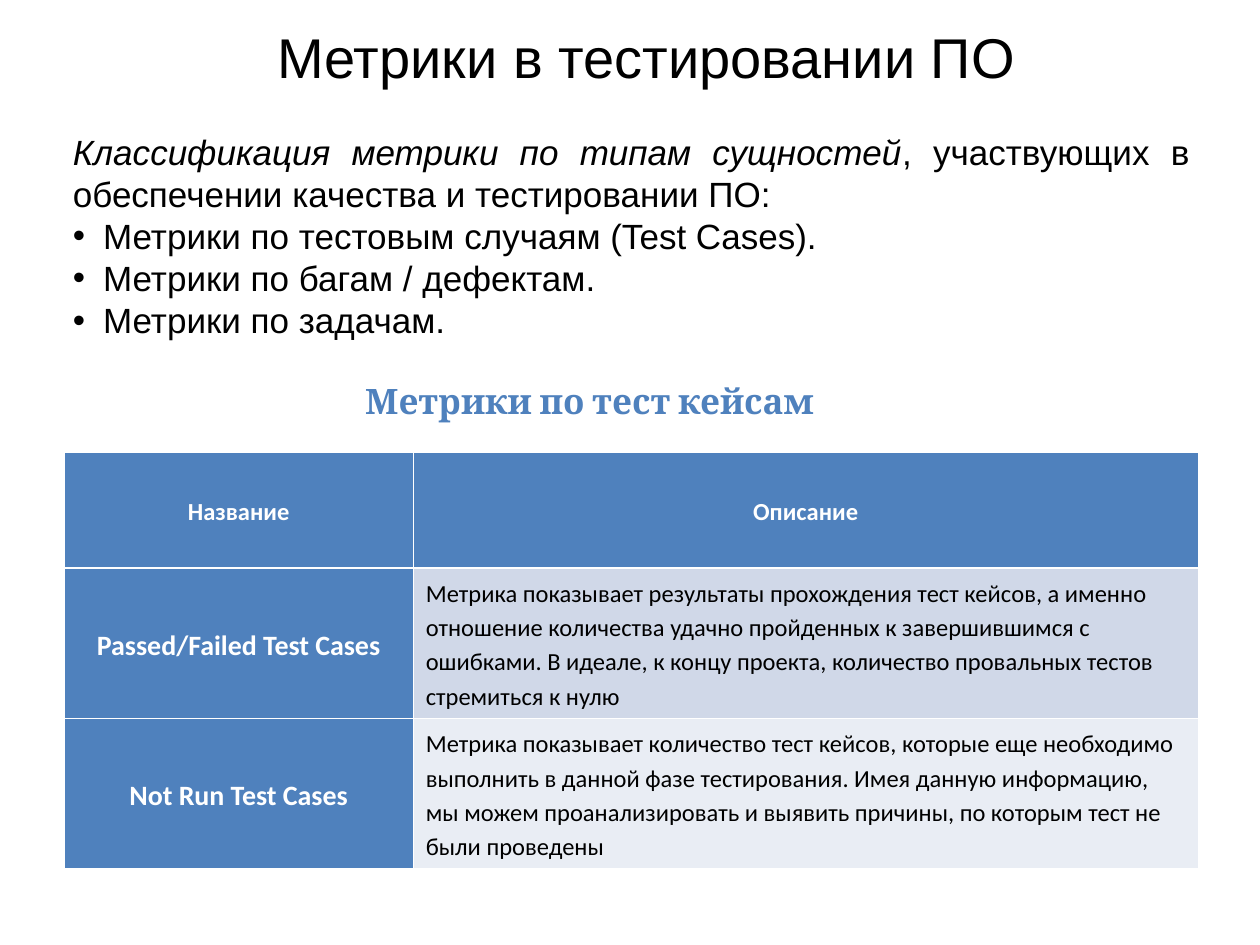
from lxml.etree import SubElement
from pptx import Presentation
from pptx.dml.color import RGBColor
from pptx.enum.text import MSO_ANCHOR as Anchor, MSO_AUTO_SIZE as AutoSize, PP_ALIGN as Align
from pptx.oxml.ns import qn
from pptx.util import Inches, Pt

COLORS = {"text": "000000", "accent": "4F81BD", "white": "FFFFFF",
          "band": "D0D8E8", "light": "E9EDF4"}
COLS, ROWS = 100, 75

INTRO = [
    [("Классификация метрики по типам сущностей", True),
     (", участвующих в обеспечении качества и тестировании ПО:", False)],
]
BULLETS = ["Метрики по тестовым случаям (Test Cases).",
           "Метрики по багам / дефектам.",
           "Метрики по задачам."]
HEADER = ["Название", "Описание"]
METRICS = [
    ("Passed/Failed Test Cases",
     "Метрика показывает результаты прохождения тест кейсов, а именно отношение "
     "количества удачно пройденных к завершившимся с ошибками. В идеале, к концу "
     "проекта, количество провальных тестов стремиться к нулю"),
    ("Not Run Test Cases",
     "Метрика показывает количество тест кейсов, которые еще необходимо выполнить "
     "в данной фазе тестирования. Имея данную информацию, мы можем проанализировать "
     "и выявить причины, по которым тест не были проведены"),
]


def rgb(name):
    return RGBColor.from_string(COLORS[name])


def add_run(p, text, font="Arial", size=20, color="text", bold=False, italic=False):
    r = p.add_run()
    r.text = text
    f = r.font
    f.name, f.size, f.bold, f.italic = font, Pt(size), bold, italic
    f.color.rgb = rgb(color)


def indent(p, left, first=0):
    pPr = p._p.get_or_add_pPr()
    pPr.set("marL", str(Inches(left)))
    pPr.set("indent", str(Inches(first)))
    return pPr


def add_bullet(p):
    pPr = indent(p, 0.24, -0.24)
    SubElement(pPr, qn("a:buFont")).set("typeface", "Arial")
    SubElement(pPr, qn("a:buChar")).set("char", "•")


def set_borders(cell, **widths):
    """Draw white cell edges; widths are points keyed by L, R, T, B."""
    tcPr = cell._tc.get_or_add_tcPr()
    for side in "LRTB":
        ln = SubElement(tcPr, qn(f"a:ln{side}"), w=str(Pt(widths.get(side, 0.45))))
        fill = SubElement(ln, qn("a:solidFill"))
        SubElement(fill, qn("a:srgbClr"), val=COLORS["white"])


class Deck:
    """Holds the presentation grid and the current slide."""

    def __init__(self):
        self.prs = Presentation()
        self.prs.slide_width, self.prs.slide_height = Inches(10), Inches(7.5)
        self.s = self.prs.slides.add_slide(self.prs.slide_layouts[5])

    def x(self, cols):
        return round(self.prs.slide_width * cols / COLS)

    def y(self, rows):
        return round(self.prs.slide_height * rows / ROWS)

    def box(self, col, row, cols, rows):
        return self.x(col), self.y(row), self.x(cols), self.y(rows)

    def title(self, text, *place):
        sp = self.s.shapes.title
        sp.left, sp.top, sp.width, sp.height = self.box(*place)
        tf = sp.text_frame
        tf.auto_size, tf.vertical_anchor = AutoSize.NONE, Anchor.TOP
        p = tf.paragraphs[0]
        p.alignment = Align.CENTER
        indent(p, 0.5)
        add_run(p, text, size=32)

    def text(self, *place, wrap=True, top=0.05):
        tf = self.s.shapes.add_textbox(*self.box(*place)).text_frame
        tf.word_wrap, tf.margin_top = wrap, Inches(top)
        return tf

    def intro(self, *place):
        tf = self.text(*place)
        p = tf.paragraphs[0]
        p.alignment = Align.JUSTIFY
        for text, italic in INTRO[0]:
            add_run(p, text, italic=italic)
        for text in BULLETS:
            p = tf.add_paragraph()
            add_bullet(p)
            add_run(p, text)

    def heading(self, text, *place):
        tf = self.text(*place, wrap=False, top=0.14)
        add_run(tf.paragraphs[0], text, font="Cambria", color="accent", bold=True)

    def cell(self, cell, text, fill, label=True, size=14, **borders):
        set_borders(cell, **borders)
        cell.fill.solid()
        cell.fill.fore_color.rgb = rgb(fill)
        cell.vertical_anchor = Anchor.MIDDLE
        p = cell.text_frame.paragraphs[0]
        p.line_spacing = 1.15
        if label:
            p.alignment, p.space_after = Align.CENTER, Pt(10)
        add_run(p, text, font="Calibri", size=size, bold=label,
                color="white" if label else "text")

    def table(self, *place, widths, heights):
        t = self.s.shapes.add_table(len(heights), len(widths), *self.box(*place)).table
        for column, width in zip(t.columns, widths):
            column.width = self.x(width)
        for row, height in zip(t.rows, heights):
            row.height = self.y(height)
        for j, text in enumerate(HEADER):
            self.cell(t.cell(0, j), text, "accent", B=1.47)
        for i, (name, description) in enumerate(METRICS, 1):
            top = 1.47 if i == 1 else 0.45
            self.cell(t.cell(i, 0), name, "accent", size=16, T=top)
            self.cell(t.cell(i, 1), description, "band" if i % 2 else "light",
                      label=False, T=top)


def main():
    deck = Deck()
    deck.title("Метрики в тестировании ПО", 5.9, 1.3, 85.8, 6.4)
    deck.intro(4.8, 9.9, 90.6, 24.4)
    deck.table(5.1, 35.9, 90, 33.1, widths=(27.7, 62.3), heights=(9.15, 11.95, 11.95))
    deck.heading("Метрики по тест кейсам", 28, 28.7, 37.6, 8.1)
    deck.prs.save("out.pptx")


if __name__ == "__main__":
    main()
